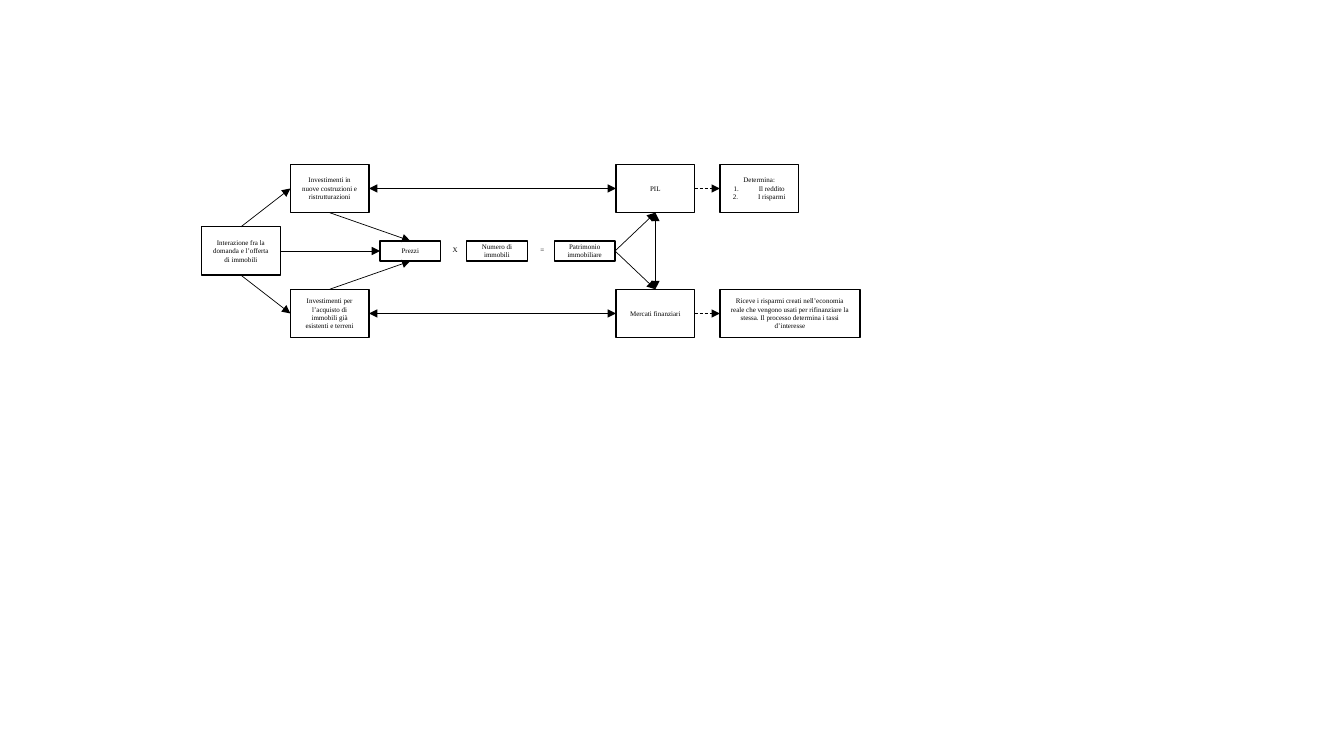
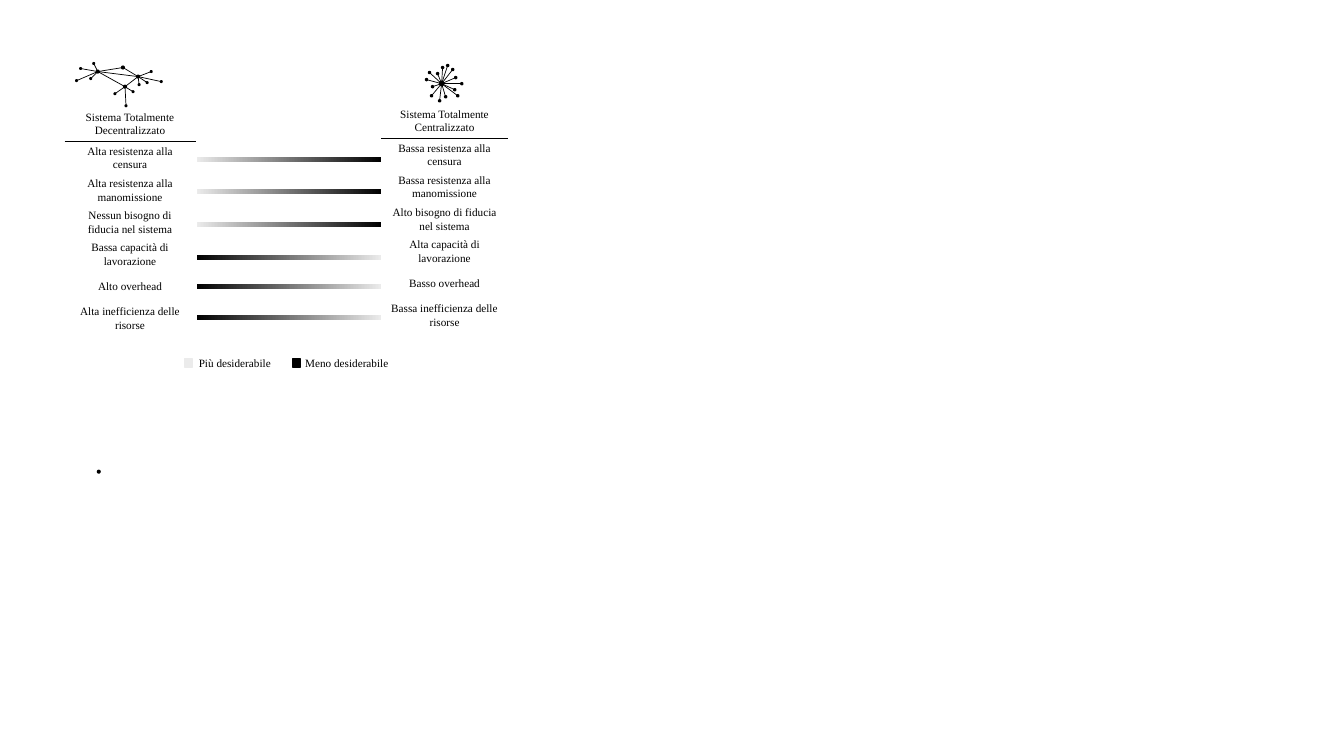
"""Two diagrams: the property market in the economy, and decentralised versus centralised systems."""
from lxml import etree
from pptx import Presentation
from pptx.dml.color import RGBColor
from pptx.enum.dml import MSO_LINE
from pptx.enum.shapes import MSO_CONNECTOR, MSO_SHAPE
from pptx.enum.text import MSO_ANCHOR, PP_ALIGN
from pptx.oxml.ns import qn
from pptx.util import Inches, Pt

COLOURS = {"ink": "000000", "paper": "FFFFFF", "pale": "EBEBEB"}
FONT = "Times New Roman"
TOP, LEFT, BOTTOM, RIGHT = range(4)

BOX_SIZES = {"large": (0.78, 0.48), "small": (0.6, 0.2), "wide": (1.39, 0.48)}
ROW_CENTRES = {"upper": 1.87, "middle": 2.49, "lower": 3.11}
BOXES = {
    "interazione": (2, "middle", "large", ["Interazione fra la domanda e l’offerta di immobili"]),
    "nuove": (2.88, "upper", "large", ["Investimenti in nuove costruzioni e ristrutturazioni"]),
    "esistenti": (2.88, "lower", "large",
                  ["Investimenti per l’acquisto di immobili già esistenti e terreni"]),
    "prezzi": (3.77, "middle", "small", ["Prezzi"]),
    "numero": (4.63, "middle", "small", ["Numero di immobili"]),
    "patrimonio": (5.5, "middle", "small", ["Patrimonio immobiliare"]),
    "pil": (6.11, "upper", "large", ["PIL"]),
    "mercati": (6.11, "lower", "large", ["Mercati finanziari"]),
    "determina": (7.14, "upper", "large", ["Determina:", "Il reddito", "I risparmi"]),
    "risparmi": (7.14, "lower", "wide",
                 ["Riceve i risparmi creati nell’economia reale che vengono usati per "
                  "rifinanziare la stessa. Il processo determina i tassi d’interesse"]),
}
OPERATORS = [("X", 4.39), ("=", 5.26)]
FLOWS = [
    ("interazione", TOP, "nuove", LEFT, "single"),
    ("interazione", BOTTOM, "esistenti", LEFT, "single"),
    ("interazione", RIGHT, "prezzi", LEFT, "single"),
    ("nuove", BOTTOM, "prezzi", TOP, "single"),
    ("esistenti", TOP, "prezzi", BOTTOM, "single"),
    ("nuove", RIGHT, "pil", LEFT, "double"),
    ("esistenti", RIGHT, "mercati", LEFT, "double"),
    ("patrimonio", RIGHT, "mercati", TOP, "single"),
    ("patrimonio", RIGHT, "pil", BOTTOM, "single"),
    ("pil", BOTTOM, "mercati", TOP, "double"),
    ("pil", RIGHT, "determina", LEFT, "dashed"),
    ("mercati", RIGHT, "risparmi", LEFT, "dashed"),
]

HUBS = {
    (0.97, 0.71): [(0.93, 0.63), (0.8, 0.68), (0.76, 0.8), (0.9, 0.78)],
    (1.22, 0.67): [],
    (1.37, 0.76): [(1.5, 0.71), (1.6, 0.81), (1.46, 0.82), (1.38, 0.84)],
    (1.24, 0.86): [(1.32, 0.91), (1.14, 0.93), (1.25, 1.05)],
}
HUB_LINKS = [(0, 1), (1, 2), (2, 3), (3, 0), (0, 2)]
CENTRE = (4.38, 0.83)
SATELLITES = [
    (4.39, 0.67), (4.34, 0.73), (4.26, 0.72), (4.23, 0.79), (4.29, 0.86), (4.28, 0.95),
    (4.36, 1), (4.42, 0.96), (4.54, 0.95), (4.58, 0.83), (4.52, 0.77), (4.49, 0.69),
    (4.44, 0.65), (4.51, 0.89),
]
LONE_DOT = (0.98, 4.68)
SYSTEMS = [
    (0.64, 1.08, 1.3, "Sistema Totalmente Decentralizzato",
     ["Alta resistenza alla censura", "Alta resistenza alla manomissione",
      "Nessun bisogno di fiducia nel sistema", "Bassa capacità di lavorazione",
      "Alto overhead", "Alta inefficienza delle risorse"]),
    (3.78, 1.05, 1.26, "Sistema Totalmente Centralizzato",
     ["Bassa resistenza alla censura", "Bassa resistenza alla manomissione",
      "Alto bisogno di fiducia nel sistema", "Alta capacità di lavorazione",
      "Basso overhead", "Bassa inefficienza delle risorse"]),
]
SCALES = [
    (1.56, "pale", "ink"), (1.87, "pale", "ink"), (2.2, "pale", "ink"),
    (2.53, "ink", "pale"), (2.82, "ink", "pale"), (3.12, "ink", "pale"),
]
LEGEND = [("Più desiderabile", 1.68, 1.83, "pale"), ("Meno desiderabile", 2.79, 2.9, "ink")]
LABEL_HEIGHT = 0.29
ROW_PITCH = 0.318


def rgb(colour):
    return RGBColor.from_string(COLOURS[colour])


def write(shape, lines, size, anchor=MSO_ANCHOR.MIDDLE, wrap=True):
    frame = shape.text_frame
    frame.text = "\n".join(lines)
    frame.word_wrap = wrap
    frame.vertical_anchor = anchor
    for paragraph in frame.paragraphs:
        paragraph.alignment = PP_ALIGN.CENTER
        for run in paragraph.runs:
            run.font.name, run.font.size = FONT, Pt(size)
            run.font.color.rgb = rgb("ink")


def number(paragraph):
    properties = paragraph._p.get_or_add_pPr()
    properties.set("marL", str(Inches(0.25)))
    properties.set("indent", str(Inches(-0.25)))
    etree.SubElement(properties, qn("a:buFont"), typeface="+mj-lt")
    etree.SubElement(properties, qn("a:buAutoNum"), type="arabicPeriod")


def add_label(slide, text, left, top, width, height=LABEL_HEIGHT, size=8, **layout):
    label = slide.shapes.add_textbox(Inches(left), Inches(top), Inches(width), Inches(height))
    write(label, [text], size, **layout)


def add_figure(slide, preset, left, top, width, height, fill=None, outline=None):
    figure = slide.shapes.add_shape(
        preset, Inches(left), Inches(top), Inches(width), Inches(height))
    figure.shadow.inherit = False
    if fill:
        figure.fill.solid()
        figure.fill.fore_color.rgb = rgb(fill)
    else:
        figure.fill.background()
    if outline:
        figure.line.color.rgb = rgb(outline)
        figure.line.width = Pt(1)
    else:
        figure.line.fill.background()
    return figure


def add_line(slide, start=(0, 0), end=(0, 0)):
    line = slide.shapes.add_connector(
        MSO_CONNECTOR.STRAIGHT, *(Inches(value) for value in (*start, *end)))
    line.line.color.rgb = rgb("ink")
    line.line.width = Pt(0.5)
    etree.SubElement(line._element.spPr, qn("a:effectLst"))
    return line


def add_flow(slide, source, source_side, target, target_side, style):
    flow = add_line(slide)
    flow.begin_connect(source, source_side)
    flow.end_connect(target, target_side)
    if style == "dashed":
        flow.line.dash_style = MSO_LINE.DASH
    outline = flow.line._get_or_add_ln()
    for end in ("a:headEnd", "a:tailEnd") if style == "double" else ("a:tailEnd",):
        etree.SubElement(outline, qn(end), type="triangle")


def add_dot(slide, centre, size, outline=None):
    x, y = centre
    add_figure(slide, MSO_SHAPE.OVAL, x - size / 2, y - size / 2, size, size, "ink", outline)


def build_market(slide):
    boxes = {}
    for key, (left, row, kind, lines) in BOXES.items():
        width, height = BOX_SIZES[kind]
        box = add_figure(slide, MSO_SHAPE.RECTANGLE, left, ROW_CENTRES[row] - height / 2,
                         width, height, outline="ink")
        write(box, lines, 5)
        for paragraph in box.text_frame.paragraphs[1:]:
            number(paragraph)
        boxes[key] = box
    for source, source_side, target, target_side, style in FLOWS:
        add_flow(slide, boxes[source], source_side, boxes[target], target_side, style)
    for symbol, left in OPERATORS:
        add_label(slide, symbol, left, 2.39, 0.22, 0.09, 5, anchor=MSO_ANCHOR.TOP, wrap=False)


def build_networks(slide):
    hubs = list(HUBS)
    for first, second in HUB_LINKS:
        add_line(slide, hubs[first], hubs[second])
    for hub, leaves in HUBS.items():
        add_dot(slide, hub, 0.04)
        for leaf in leaves:
            add_line(slide, hub, leaf)
            add_dot(slide, leaf, 0.03)
    add_dot(slide, CENTRE, 0.04, "ink")
    for satellite in SATELLITES:
        add_line(slide, CENTRE, satellite)
        add_dot(slide, satellite, 0.02, "ink")
    add_dot(slide, LONE_DOT, 0.04)


def build_comparison(slide):
    for left, top, width, heading, traits in SYSTEMS:
        add_label(slide, heading, left, top, width)
        add_line(slide, (left, top + 0.32), (left + width, top + 0.32))
        for row, trait in enumerate(traits):
            add_label(slide, trait, left, top + 0.34 + row * ROW_PITCH, width)
    for top, *ends in SCALES:
        scale = add_figure(slide, MSO_SHAPE.RECTANGLE, 1.95, top, 1.83, 0.05)
        scale.fill.gradient()
        scale.fill.gradient_angle = 0
        for stop, colour in zip(scale.fill.gradient_stops, ends):
            stop.color.rgb = rgb(colour)
    for text, left, key_left, colour in LEGEND:
        add_label(slide, text, left, 3.46, 1.3)
        add_figure(slide, MSO_SHAPE.RECTANGLE, key_left, 3.56, 0.08, 0.08, colour, colour)


def main():
    deck = Presentation()
    deck.slide_width, deck.slide_height = Inches(13.33), Inches(7.5)
    for builders in ((build_market,), (build_networks, build_comparison)):
        slide = deck.slides.add_slide(deck.slide_layouts[6])
        slide.background.fill.solid()
        slide.background.fill.fore_color.rgb = rgb("paper")
        for build in builders:
            build(slide)
    deck.save("out.pptx")


if __name__ == "__main__":
    main()
